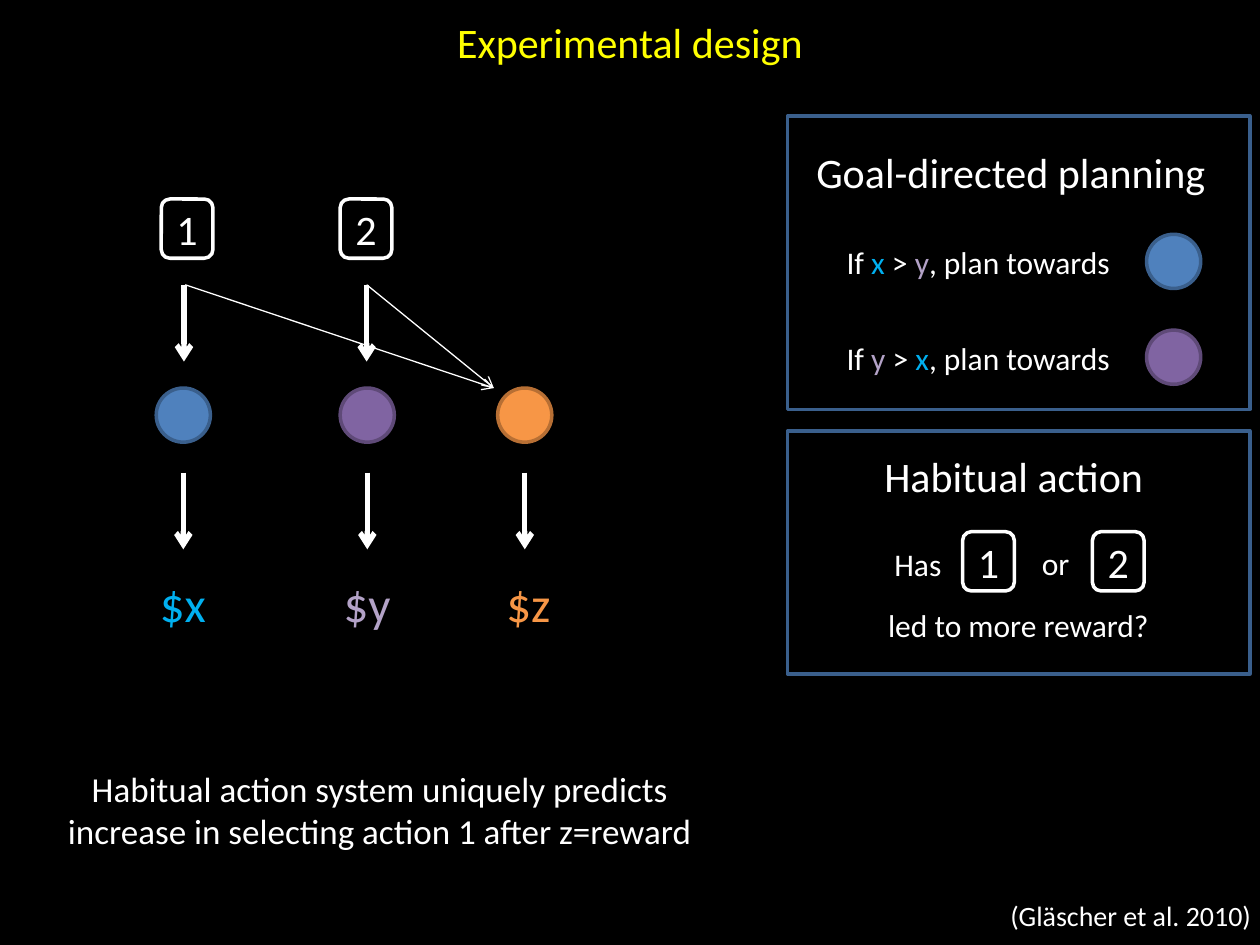
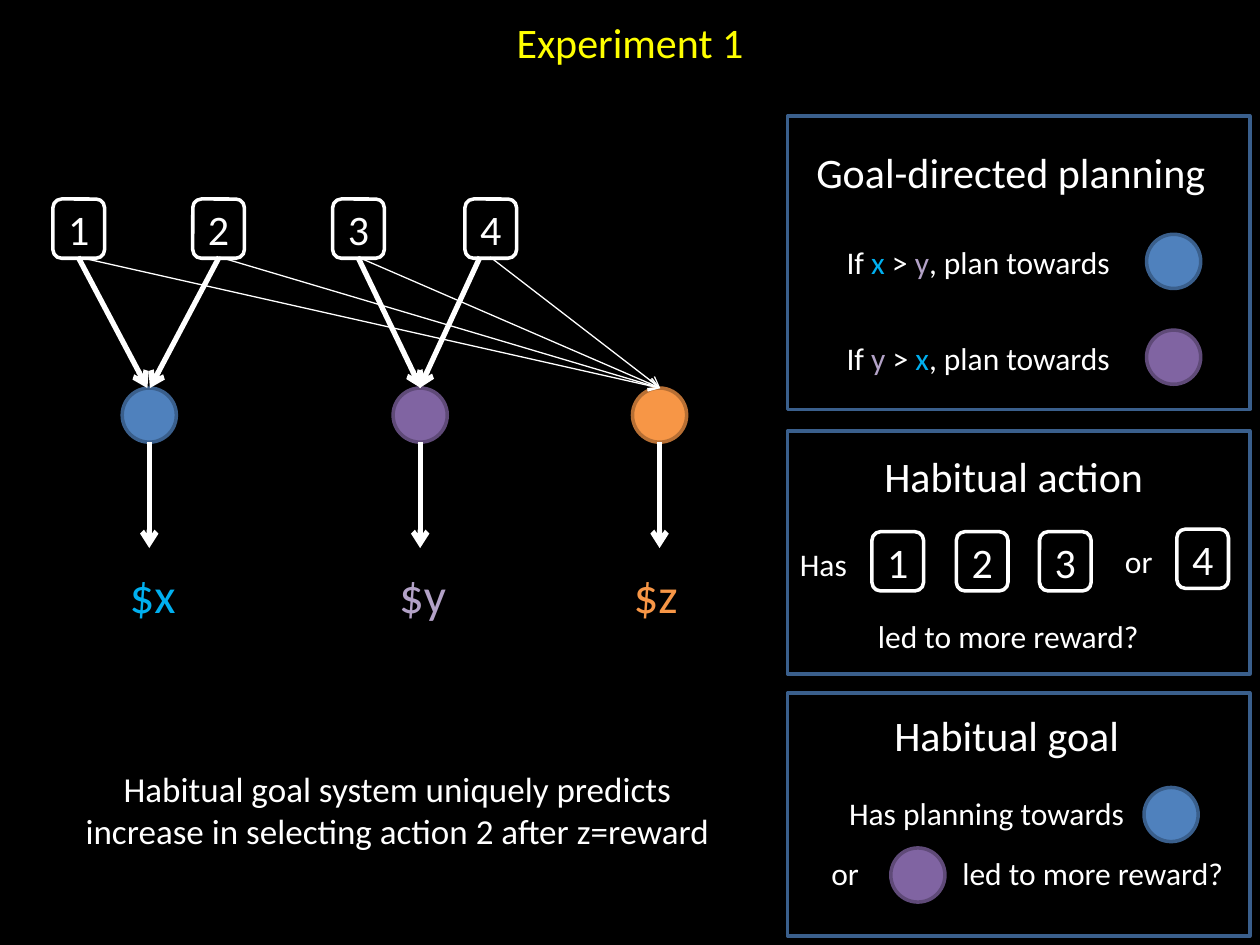
"""Build two slides on planning versus habit experiments."""
from dataclasses import dataclass
from typing import Any, Optional

from lxml.etree import SubElement
from pptx import Presentation
from pptx.dml.color import RGBColor
from pptx.enum.shapes import MSO_CONNECTOR, MSO_SHAPE
from pptx.enum.text import MSO_ANCHOR as Anchor, MSO_AUTO_SIZE as AutoSize, PP_ALIGN as Align
from pptx.oxml.ns import qn
from pptx.util import Inches, Pt

BLACK = RGBColor(0x00, 0x00, 0x00)
WHITE = RGBColor(0xFF, 0xFF, 0xFF)
YELLOW = RGBColor(0xFF, 0xFF, 0x00)
FRAME = RGBColor(0x3A, 0x5F, 0x8C)

TITLE_ONLY = 5
FONT = "Calibri"
HEADING, BODY, CAPTION, CITATION, PAYOFF = 24, 18, 20, 16, 28
BOLD_ARROW, THIN_ARROW, OUTLINE = 3, 0.75, 2
CIRCLE = 0.43
BOX_WIDTH, BOX_HEIGHT = 0.41, 0.47
STATE_TOP, ACTION_TOP = 3.08, 1.58
PANEL_LEFT, PANEL_WIDTH = 6.25, 3.67
HABIT_TOP, GOAL_TOP, HABIT_HEIGHT = 3.42, 5.5, 1.93


@dataclass(frozen=True)
class State:
    """A state of the task with its colours and payoff letter."""
    letter: str
    fill: RGBColor
    outline: RGBColor
    ink: RGBColor


@dataclass(frozen=True)
class Label:
    """A line of text and the place of its box."""
    text: str
    left: float
    top: float
    width: float
    size: int = BODY
    ink: RGBColor = WHITE


@dataclass(frozen=True)
class Arrow:
    """An arrow between two points."""
    x1: float
    y1: float
    x2: float
    y2: float
    weight: float = BOLD_ARROW


@dataclass(frozen=True)
class Design:
    """The task drawn on the left of one slide."""
    title: str
    caption: str
    caption_left: float
    actions: list[float]
    states: list[float]
    payoffs: list[float]
    payoff_top: float
    payoff_arrow: tuple[float, float]
    choices: list[Arrow]


BLUE_STATE = State("x", RGBColor(0x4F, 0x81, 0xBD), FRAME, RGBColor(0x00, 0xB0, 0xF0))
PURPLE_STATE = State("y", RGBColor(0x80, 0x64, 0xA2), RGBColor(0x5F, 0x4A, 0x78),
                     RGBColor(0xB3, 0xA2, 0xC7))
ORANGE_STATE = State("z", RGBColor(0xF7, 0x96, 0x46), RGBColor(0xB7, 0x6F, 0x34),
                     RGBColor(0xF7, 0x96, 0x46))
STATES = [BLUE_STATE, PURPLE_STATE, ORANGE_STATE]


def apply(target: Any, values: dict[str, Any]) -> None:
    """Set every attribute named in the values."""
    for name, value in values.items():
        setattr(target, name, value)


def add_run(paragraph: Any, text: str, size: int, ink: RGBColor) -> None:
    """Append one formatted run."""
    run = paragraph.add_run()
    run.text = text
    apply(run.font, {"name": FONT, "size": Pt(size)})
    run.font.color.rgb = ink


def add_text_box(slide: Any, left: float, top: float, width: float, height: float,
                 wrap: bool = False) -> Any:
    """Add a text box and return its paragraph."""
    shape = slide.shapes.add_textbox(Inches(left), Inches(top), Inches(width), Inches(height))
    apply(shape.text_frame, {"word_wrap": wrap, "auto_size": AutoSize.SHAPE_TO_FIT_TEXT})
    return shape.text_frame.paragraphs[0]


def add_label(slide: Any, label: Label) -> None:
    """Add a single line of text."""
    height = round(label.size / 60 + 0.1, 2)
    paragraph = add_text_box(slide, label.left, label.top, label.width, height)
    add_run(paragraph, label.text, label.size, label.ink)


def add_outline(slide: Any, kind: MSO_SHAPE, left: float, top: float, width: float,
                height: float, line: RGBColor, fill: Optional[RGBColor] = None) -> Any:
    """Add a preset shape with an outline and an optional fill."""
    shape = slide.shapes.add_shape(kind, Inches(left), Inches(top), Inches(width), Inches(height))
    shape.shadow.inherit = False
    if fill is None:
        shape.fill.background()
    else:
        shape.fill.solid()
        shape.fill.fore_color.rgb = fill
    shape.line.color.rgb = line
    shape.line.width = Pt(OUTLINE)
    return shape


def add_state(slide: Any, state: State, left: float, top: float) -> None:
    """Add the circle of a state."""
    add_outline(slide, MSO_SHAPE.OVAL, left, top, CIRCLE, CIRCLE, state.outline, state.fill)


def add_action(slide: Any, number: int, left: float, top: float) -> None:
    """Add the numbered box of an action."""
    shape = add_outline(slide, MSO_SHAPE.ROUNDED_RECTANGLE, left, top, BOX_WIDTH, BOX_HEIGHT, WHITE)
    shape.text_frame.vertical_anchor = Anchor.MIDDLE
    paragraph = shape.text_frame.paragraphs[0]
    paragraph.alignment = Align.CENTER
    add_run(paragraph, str(number), HEADING, WHITE)


def add_arrow(slide: Any, arrow: Arrow) -> None:
    """Add a white line with an open arrowhead at its end."""
    ends = [Inches(value) for value in (arrow.x1, arrow.y1, arrow.x2, arrow.y2)]
    connector = slide.shapes.add_connector(MSO_CONNECTOR.STRAIGHT, *ends)
    connector.line.color.rgb = WHITE
    connector.line.width = Pt(arrow.weight)
    properties = connector.element.spPr
    SubElement(properties.find(qn("a:ln")), qn("a:tailEnd"), type="arrow")
    SubElement(properties, qn("a:effectLst"))


def add_panel(slide: Any, top: float, height: float, heading: Label) -> None:
    """Add a framed panel with its heading."""
    add_outline(slide, MSO_SHAPE.RECTANGLE, PANEL_LEFT, top, PANEL_WIDTH, height, FRAME)
    add_label(slide, heading)


def add_planning_panel(slide: Any) -> None:
    """Add the panel on goal-directed planning."""
    add_panel(slide, 0.92, 2.33, Label("Goal-directed planning", 6.38, 1.11, 3.41, HEADING))
    pairs = [(BLUE_STATE, PURPLE_STATE), (PURPLE_STATE, BLUE_STATE)]
    for row, (better, worse) in enumerate(pairs):
        top = 1.88 + row * 0.76
        paragraph = add_text_box(slide, 6.62, top, 2.32, 0.4)
        for text, ink in [("If ", WHITE), (f"{better.letter} ", better.ink), ("> ", WHITE),
                          (worse.letter, worse.ink), (", plan towards", WHITE)]:
            add_run(paragraph, text, BODY, ink)
        add_state(slide, better, 9.1, top - 0.02)


def add_habit_panel(slide: Any, boxes: list[tuple[float, float]], labels: list[Label]) -> None:
    """Add the panel on habitual action."""
    add_panel(slide, HABIT_TOP, HABIT_HEIGHT, Label("Habitual action", 6.92, 3.53, 2.37, HEADING))
    for number, (left, top) in enumerate(boxes, start=1):
        add_action(slide, number, left, top)
    for label in labels:
        add_label(slide, label)


def add_goal_panel(slide: Any) -> None:
    """Add the panel on habitual goals."""
    add_panel(slide, GOAL_TOP, HABIT_HEIGHT, Label("Habitual goal", 7, 5.58, 2, HEADING))
    for label in [Label("Has planning towards", 6.64, 6.25, 2.53), Label("or", 6.5, 6.73, 0.42),
                  Label("led to more reward?", 7.54, 6.73, 2.3)]:
        add_label(slide, label)
    add_state(slide, BLUE_STATE, 9.08, 6.25)
    add_state(slide, PURPLE_STATE, 7.07, 6.73)


def add_design_slide(presentation: Any, design: Design) -> Any:
    """Add a slide with its title, task diagram, caption and planning panel."""
    slide = presentation.slides.add_slide(presentation.slide_layouts[TITLE_ONLY])
    add_run(slide.shapes.title.text_frame.paragraphs[0], design.title, HEADING, YELLOW)
    for number, left in enumerate(design.actions, start=1):
        add_action(slide, number, left, ACTION_TOP)
    start, end = design.payoff_arrow
    for state, left, payoff_left in zip(STATES, design.states, design.payoffs):
        centre = left + CIRCLE / 2
        add_state(slide, state, left, STATE_TOP)
        add_arrow(slide, Arrow(centre, start, centre, end))
        add_label(slide, Label(f"${state.letter}", payoff_left, design.payoff_top, 0.57,
                               PAYOFF, state.ink))
    for arrow in design.choices:
        add_arrow(slide, arrow)
    paragraph = add_text_box(slide, design.caption_left, 6.04, 5.37, 0.77, wrap=True)
    paragraph.alignment = Align.CENTER
    add_run(paragraph, design.caption, CAPTION, WHITE)
    add_planning_panel(slide)
    return slide


def prepare_template(presentation: Any) -> None:
    """Set the page, the background and the title place."""
    apply(presentation, {"slide_width": Inches(10), "slide_height": Inches(7.5)})
    background = presentation.slide_master.background.fill
    background.solid()
    background.fore_color.rgb = BLACK
    title = presentation.slide_layouts[TITLE_ONLY].placeholders[0]
    apply(title, {"left": Inches(0), "top": Inches(0.08),
                  "width": Inches(10), "height": Inches(0.5)})
    apply(title.text_frame, {"vertical_anchor": Anchor.MIDDLE, "auto_size": AutoSize.NONE})


TWO_ACTIONS = Design(
    title="Experimental design",
    caption="Habitual action system uniquely predicts increase in selecting action 1 after z=reward",
    caption_left=0.33,
    actions=[1.28, 2.7],
    states=[1.24, 2.7, 3.95],
    payoffs=[1.17, 2.63, 3.92],
    payoff_top=4.5,
    payoff_arrow=(3.75, 4.36),
    choices=[Arrow(x, 2.26, x, 2.87) for x in (1.46, 2.91)]
    + [Arrow(x, 2.26, 3.92, STATE_TOP, THIN_ARROW) for x in (1.47, 2.91)],
)
FOUR_ACTIONS = Design(
    title="Experiment 1",
    caption="Habitual goal system uniquely predicts increase in selecting action 2 after z=reward",
    caption_left=0.47,
    actions=[0.42, 1.53, 2.64, 3.69],
    states=[0.97, 3.12, 5.02],
    payoffs=[0.93, 3.07, 4.93],
    payoff_top=4.43,
    payoff_arrow=(STATE_TOP + CIRCLE, 4.35),
    choices=[Arrow(start, 2.04, end, STATE_TOP)
             for start, end in [(0.62, 1.17), (1.74, 1.19), (2.84, 3.34), (3.81, 3.33)]]
    + [Arrow(x, 2.04, 5.24, STATE_TOP, THIN_ARROW) for x in (0.62, 1.74, 2.84, 3.89)],
)


def main() -> None:
    """Build and save the slides."""
    presentation = Presentation()
    prepare_template(presentation)

    slide = add_design_slide(presentation, TWO_ACTIONS)
    add_habit_panel(slide, [(7.64, 4.22), (8.67, 4.22)],
                    [Label("Has", 7, 4.28, 0.64), Label("or", 8.17, 4.27, 0.42),
                     Label("led to more reward?", 6.95, 4.76, 2.3)])
    add_label(slide, Label("(Gläscher et al. 2010)", 7.92, 7.08, 2.14, CITATION))

    slide = add_design_slide(presentation, FOUR_ACTIONS)
    add_habit_panel(slide, [(6.92, 4.22), (7.59, 4.22), (8.25, 4.22), (9.34, 4.2)],
                    [Label("Has", 6.25, 4.28, 0.64), Label("or", 8.83, 4.25, 0.42),
                     Label("led to more reward?", 6.87, 4.85, 2.3)])
    add_goal_panel(slide)

    presentation.save("out.pptx")


main()
